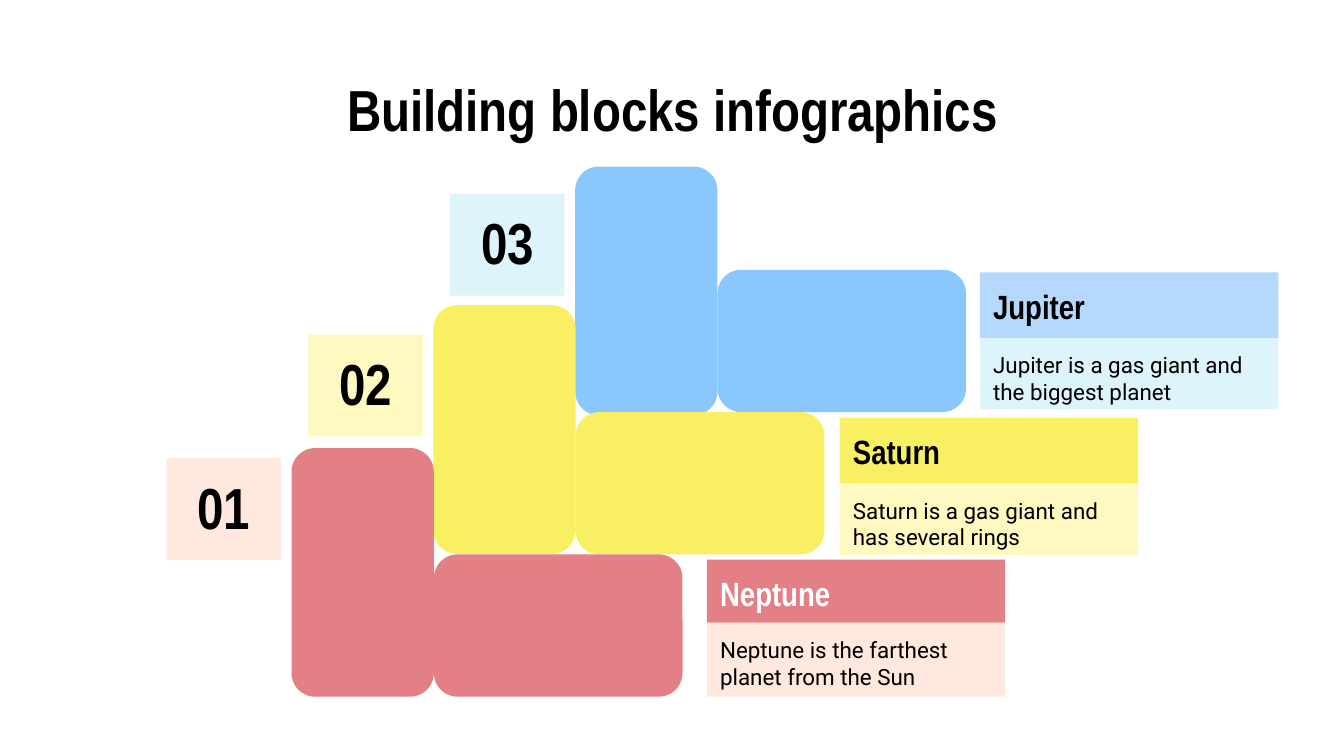
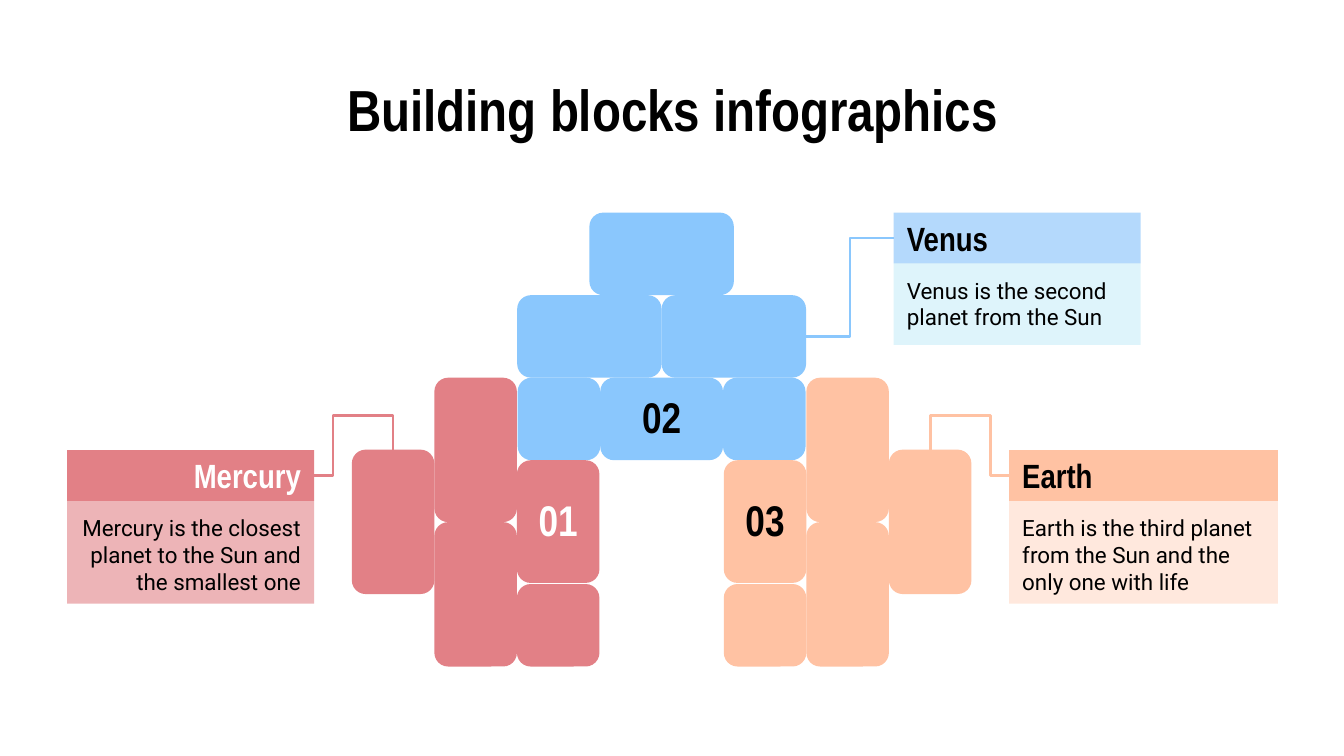
from lxml import etree
from pptx import Presentation
from pptx.dml.color import RGBColor
from pptx.enum.shapes import MSO_CONNECTOR as CONN, MSO_SHAPE as SHAPE
from pptx.enum.text import MSO_ANCHOR as ANCHOR, PP_ALIGN as ALIGN
from pptx.oxml.ns import qn
from pptx.util import Cm, Pt

BLACK = RGBColor(0x00, 0x00, 0x00)
WHITE = RGBColor(0xFF, 0xFF, 0xFF)
RED = RGBColor(0xE2, 0x80, 0x86)
BLUE = RGBColor(0x8A, 0xC7, 0xFD)
SKY = RGBColor(0xB4, 0xD9, 0xFC)
CYAN = RGBColor(0x02, 0xAB, 0xE4)
YELLOW = RGBColor(0xF9, 0xEF, 0x63)
CREAM = RGBColor(0xFF, 0xF9, 0xC1)
PEACH = RGBColor(0xFF, 0xC2, 0xA3)

# Tints: colour and opacity in percent
PALE_BLUE = (CYAN, 13)
PALE_YELLOW = (CREAM, 100)
PALE_PEACH = (PEACH, 37)
PALE_RED = (RED, 59)

HEAD_FONT, BODY_FONT = "Arial Narrow", "Roboto"
TITLE = "Building blocks infographics"
MARGIN = 0.25

# Brick sizes of the staircase and of the arch, in cm
STEP_SHORT, STEP_LONG = 2.69, 4.7
UNIT, MID, LONG = 1.56, 2.32, 2.73


# Shared helpers; a box is (left, top, width, height) in cm
def cm_box(box):
    return [Cm(v) for v in box]


def write(sp, text, size, font=HEAD_FONT, color=BLACK, align=ALIGN.LEFT,
          anchor=ANCHOR.TOP):
    tf = sp.text_frame
    tf.word_wrap = True
    tf.vertical_anchor = anchor
    tf.margin_left = tf.margin_right = Cm(MARGIN)
    tf.margin_top = tf.margin_bottom = Cm(MARGIN)
    p = tf.paragraphs[0]
    p.text = text
    p.alignment = align
    p.font.size = Pt(size)
    p.font.name = font
    p.font.bold = font == HEAD_FONT
    p.font.color.rgb = color


def add_panel(shapes, box, color, opacity=100, kind=SHAPE.RECTANGLE):
    sp = shapes.add_shape(kind, *cm_box(box))
    sp.shadow.inherit = False
    sp.fill.solid()
    sp.fill.fore_color.rgb = color
    sp.line.fill.background()
    if opacity < 100:
        clr = sp.fill._xPr.find(qn("a:solidFill"))[0]
        etree.SubElement(clr, qn("a:alpha"), val=str(opacity * 1000))
    return sp


def add_brick(shapes, box, color):
    return add_panel(shapes, box, color, kind=SHAPE.ROUNDED_RECTANGLE)


def add_text(shapes, box, text, size, color=BLACK):
    write(shapes.add_textbox(*cm_box(box)), text, size, color=color,
          align=ALIGN.CENTER)


def add_elbow(shapes, start, end, color):
    cxn = shapes.add_connector(CONN.ELBOW, *cm_box(start + end))
    cxn.line.color.rgb = color
    cxn.line.width = Pt(1.5)
    etree.SubElement(cxn._element.spPr, qn("a:effectLst"))
    return cxn


def add_hook(shapes, brick_top, card_side, color):
    """Elbow that rises from a card and drops onto a brick."""
    sp_pr = add_elbow(shapes, brick_top, card_side, color)._element.spPr
    sp_pr.find(qn("a:xfrm")).set("rot", "10800000")
    geom = sp_pr.find(qn("a:prstGeom"))
    geom.set("prst", "bentConnector4")
    guides = geom.find(qn("a:avLst"))
    for name, value in (("adj1", 23700), ("adj2", 236600)):
        etree.SubElement(guides, qn("a:gd"), name=name, fmla=f"val {value}")


def add_card(shapes, box, head_h, name, text, color, tint, ink=BLACK,
             align=ALIGN.LEFT, anchor=ANCHOR.TOP):
    """Planet name on a band above its description."""
    left, top, width, height = box
    group = shapes.add_group_shape().shapes
    head = add_panel(group, (left, top, width, head_h), color)
    write(head, name, 18, color=ink, align=align, anchor=anchor)
    body = add_panel(group, (left, top + head_h, width, height - head_h), *tint)
    write(body, text, 12, BODY_FONT, align=align)


def new_slide(prs):
    s = prs.slides.add_slide(prs.slide_layouts[6])
    add_text(s.shapes, (1.27, 1.14, 22.88, 1.85), TITLE, 31)
    return s.shapes


# Slide 1: staircase
def add_step(shapes, box, color):
    """One upright and one lying brick, which share the box's bottom."""
    left, top, width, height = box
    add_brick(shapes, (left, top, STEP_SHORT, STEP_LONG), color)
    add_brick(shapes, (left + STEP_SHORT, top + height - STEP_SHORT,
                       STEP_LONG, STEP_SHORT), color)


def staircase_slide(prs):
    shapes = new_slide(prs)
    # number, brick top, number top, card place, head height, name, text, colours
    steps = [
        ("01", 8.47, 8.66, (13.36, 10.58), 1.19, "Neptune",
         "Neptune is the farthest planet from the Sun",
         RED, RED, PALE_PEACH, WHITE),
        ("02", 5.77, 6.32, (15.87, 7.9), 1.24, "Saturn",
         "Saturn is a gas giant and has several rings",
         YELLOW, YELLOW, PALE_YELLOW, BLACK),
        ("03", 3.15, 3.66, (18.52, 5.15), 1.24, "Jupiter",
         "Jupiter is a gas giant and the biggest planet",
         BLUE, SKY, PALE_BLUE, BLACK),
    ]
    # The upper steps lie behind the lower ones
    for i, step in reversed(list(enumerate(steps))):
        (number, top, number_top, place, head_h, name, text,
         color, head, tint, ink) = step
        left, bottom = 5.51 + i * 2.68, 13.17 - i * STEP_SHORT
        add_step(shapes, (left, top, STEP_SHORT + STEP_LONG, bottom - top), color)
        tag = add_panel(shapes, (left - 2.36, number_top, 2.16, 1.93), *tint)
        write(tag, number, 31, align=ALIGN.CENTER)
        add_card(shapes, place + (5.64, 2.59), head_h, name, text, head, tint, ink)


# Slide 2: arch
def add_numbered_brick(shapes, box, color, number, ink=BLACK):
    left, top, width, height = box
    add_brick(shapes, box, color)
    add_text(shapes, (left + width / 2 - 0.84, top + height / 2 - 0.78, 1.68, 1.56),
             number, 23, ink)


def add_leg(shapes, box, color, number, ink, mirrored=False):
    """Three columns of bricks, the outer one first."""
    left, top, width, height = box
    cols = [left + i * UNIT for i in range(3)]
    if mirrored:
        cols.reverse()
    outer, middle, inner = cols
    add_brick(shapes, (outer, top + 1.36, UNIT, LONG), color)
    for i in range(2):
        add_brick(shapes, (middle, top + i * LONG, UNIT, LONG), color)
    add_brick(shapes, (inner, top + height - UNIT, UNIT, UNIT), color)
    add_numbered_brick(shapes, (inner, top + UNIT, UNIT, MID), color, number, ink)


def add_roof(shapes, box, color, number):
    """Rows of one, two and three bricks, centred in the box."""
    left, top, width, height = box
    rows = [[LONG], [LONG, LONG], [UNIT, MID, UNIT]]
    for i, row in enumerate(rows):
        x, y = left + (width - sum(row)) / 2, top + i * UNIT
        for w in row:
            if w == MID:
                add_numbered_brick(shapes, (x, y, w, UNIT), color, number)
            else:
                add_brick(shapes, (x, y, w, UNIT), color)
            x += w


def add_arch(shapes, box):
    left, top, width, height = box
    leg_w, leg_top, leg_h = 3 * UNIT, top + 2 * UNIT, height - 2 * UNIT
    add_roof(shapes, (left, top, width, 3 * UNIT), BLUE, "02")
    add_leg(shapes, (left, leg_top, leg_w, leg_h), RED, "01", WHITE)
    add_leg(shapes, (left + width - leg_w, leg_top, leg_w, leg_h),
            PEACH, "03", BLACK, mirrored=True)


def arch_slide(prs):
    shapes = new_slide(prs)
    left, top, width, height = arch = (6.65, 4.02, 11.71, 8.58)
    side_top, head_h = 8.51, 0.96
    add_arch(shapes, arch)
    cards = [
        ((16.89, top, 4.67, 2.5), "Venus",
         "Venus is the second planet from the Sun",
         SKY, PALE_BLUE, BLACK, ALIGN.LEFT),
        ((1.27, side_top, 4.67, 2.9), "Mercury",
         "Mercury is the closest planet to the Sun and the smallest one",
         RED, PALE_RED, WHITE, ALIGN.RIGHT),
        ((19.07, side_top, 5.08, 2.9), "Earth",
         "Earth is the third planet from the Sun and the only one with life",
         PEACH, PALE_PEACH, BLACK, ALIGN.LEFT),
    ]
    for box, name, text, color, tint, ink, align in cards:
        add_card(shapes, box, head_h, name, text, color, tint, ink, align,
                 ANCHOR.MIDDLE)
    # Links between cards and bricks
    add_elbow(shapes, (16.89, top + head_h / 2), (15.24, top + 1.5 * UNIT), BLUE)
    side_y = side_top + head_h / 2
    add_hook(shapes, (left + UNIT / 2, side_top), (5.94, side_y), RED)
    add_hook(shapes, (left + width - UNIT / 2, side_top), (19.07, side_y), PEACH)


def main():
    prs = Presentation()
    prs.slide_width, prs.slide_height = Cm(25.4), Cm(14.29)
    staircase_slide(prs)
    arch_slide(prs)
    prs.save("out.pptx")


if __name__ == "__main__":
    main()
